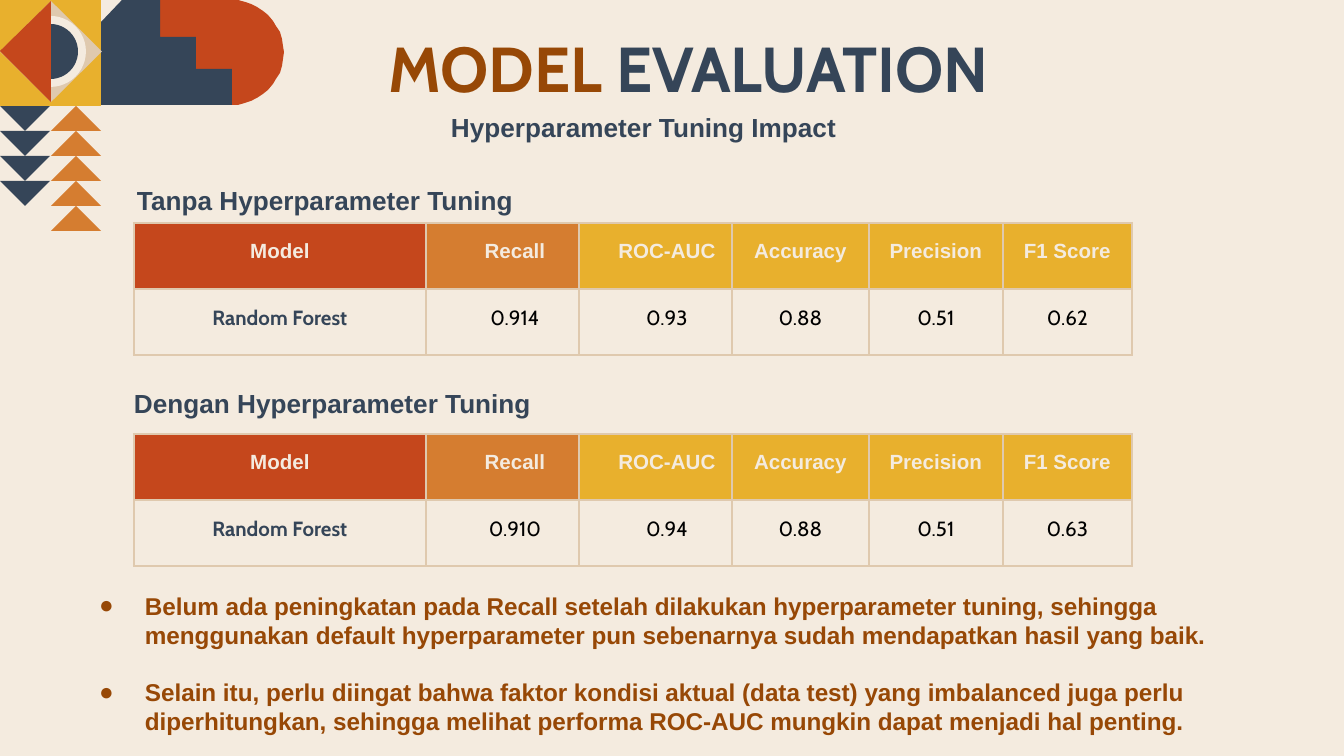
from math import cos, pi, sin

from lxml.etree import SubElement
from pptx import Presentation
from pptx.dml.color import RGBColor
from pptx.enum.shapes import MSO_SHAPE
from pptx.enum.text import PP_ALIGN
from pptx.oxml.ns import qn
from pptx.util import Emu, Pt

SCALE = 914400 / 134.4
CREAM, NAVY, RED = "F4EBDF", "354558", "C5471C"
ORANGE, YELLOW, TAN, BROWN = "D57D30", "E8B02D", "DFC9AE", "974806"


def paint(fill, color):
    fill.solid()
    fill.fore_color.rgb = RGBColor.from_string(color)


def write(paragraph, text, size=14, color=NAVY, font="Arial", bold=True, align=PP_ALIGN.LEFT, left=0, hanging=0):
    paragraph.alignment = align
    properties = paragraph._p.get_or_add_pPr()
    properties.set("marL", str(round(left * SCALE)))
    properties.set("indent", str(round(-hanging * SCALE)))
    run = paragraph.add_run()
    run.text = text
    run.font.name = font
    run.font.size = Pt(size)
    run.font.bold = bold
    paint(run.font.fill, color)


presentation = Presentation()
presentation.slide_width = Emu(round(1344 * SCALE))
presentation.slide_height = Emu(round(756 * SCALE))
slide = presentation.slides.add_slide(presentation.slide_layouts[6])
paint(slide.background.fill, CREAM)

arc = [(231 + 52.5 * sin(pi * step / 24), 52.5 + 52.5 * cos(pi * step / 24)) for step in range(25)]
rounded_bar = [(124, 0), (22, 105)] + arc
stairs = [(122, 0), (22, 105), (232, 105), (232, 69), (196, 69), (196, 37), (160, 37), (160, 0)]
half_diamond = [(51, 1), (0, 51), (51, 102)]

ornaments = [(rounded_bar, RED), (stairs, NAVY)]
for row in range(5):
    ornaments.append((MSO_SHAPE.ISOSCELES_TRIANGLE, ORANGE, 51, 106 + 25 * row, 50, 25))
for row in range(4):
    ornaments.append((MSO_SHAPE.FLOWCHART_MERGE, NAVY, 0, 106 + 25 * row, 50, 25))
ornaments += [
    (MSO_SHAPE.RECTANGLE, YELLOW, 0, 0, 101, 106),
    (MSO_SHAPE.DIAMOND, TAN, 0, 1, 102, 101),
    (MSO_SHAPE.OVAL, CREAM, 15, 16, 71, 71),
    (MSO_SHAPE.OVAL, NAVY, 23, 24, 55, 55),
    (half_diamond, RED),
]
for outline, color, *box in ornaments:
    if box:
        shape = slide.shapes.add_shape(outline, *[Emu(round(length * SCALE)) for length in box])
    else:
        builder = slide.shapes.build_freeform(*outline[0], scale=SCALE)
        builder.add_line_segments(outline[1:], close=True)
        shape = builder.convert_to_shape()
    shape.shadow.inherit = False
    shape.line.fill.background()
    paint(shape.fill, color)

text_boxes = []
for left, top, width, height, inset in [
    (387, 28, 738, 79, 1),
    (450, 99, 409, 44, 12),
    (136, 172, 816, 44, 12),
    (133, 386, 427, 34, 1),
    (78, 590, 1152, 149, 1),
]:
    box = slide.shapes.add_textbox(*[Emu(round(length * SCALE)) for length in (left, top, width, height)])
    frame = box.text_frame
    frame.word_wrap = True
    frame.margin_left = frame.margin_right = frame.margin_bottom = 0
    frame.margin_top = Emu(round(inset * SCALE))
    text_boxes.append(frame)
title, subtitle, without_tuning, with_tuning, findings = text_boxes

write(title.paragraphs[0], "MODEL ", size=34, color=BROWN, font="Cabin", left=1)
write(title.paragraphs[0], "EVALUATION", size=34, font="Cabin", left=1)
write(subtitle.paragraphs[0], "Hyperparameter Tuning Impact", left=1)
write(without_tuning.paragraphs[0], "Tanpa Hyperparameter Tuning", left=1)
write(with_tuning.paragraphs[0], "Dengan Hyperparameter Tuning", left=1)

for index, finding in enumerate([
    "Belum ada peningkatan pada Recall setelah dilakukan hyperparameter tuning, sehingga "
    "menggunakan default hyperparameter pun sebenarnya sudah mendapatkan hasil yang baik.",
    "Selain itu, perlu diingat bahwa faktor kondisi aktual (data test) yang imbalanced juga perlu "
    "diperhitungkan, sehingga melihat performa ROC-AUC mungkin dapat menjadi hal penting.",
]):
    paragraph = findings.add_paragraph() if index else findings.paragraphs[0]
    properties = paragraph._p.get_or_add_pPr()
    bullet_color = SubElement(properties, qn("a:buClr"))
    SubElement(bullet_color, qn("a:srgbClr"), val=BROWN)
    SubElement(properties, qn("a:buFont"), typeface="Arial")
    SubElement(properties, qn("a:buChar"), char="●")
    if index:
        paragraph.space_before = Pt(15)
    write(paragraph, finding, size=13, color=BROWN, left=67, hanging=46)

headers = ["Model", "Recall", "ROC-AUC", "Accuracy", "Precision", "F1 Score"]
header_fills = [RED, ORANGE] + [YELLOW] * 4
column_widths = [292, 153, 153, 137, 134, 129]
column_indents = [0, 25, 23, 0, 0, 0]
row_height = 66

for top, scores in [
    (223, ["0.914", "0.93", "0.88", "0.51", "0.62"]),
    (434, ["0.910", "0.94", "0.88", "0.51", "0.63"]),
]:
    bounds = (134, top, sum(column_widths), 2 * row_height)
    table = slide.shapes.add_table(2, 6, *[Emu(round(length * SCALE)) for length in bounds]).table
    table.horz_banding = False
    for row_index, values in enumerate([headers, ["Random Forest"] + scores]):
        table.rows[row_index].height = Emu(round(row_height * SCALE))
        for column_index, value in enumerate(values):
            table.columns[column_index].width = Emu(round(column_widths[column_index] * SCALE))
            cell = table.cell(row_index, column_index)
            cell.margin_left = cell.margin_right = cell.margin_bottom = 0
            cell.margin_top = Emu(round(17 * SCALE))
            for side in ("L", "R", "T", "B"):
                border = SubElement(cell._tc.get_or_add_tcPr(), qn("a:ln" + side), w=str(Pt(1.5)))
                border_fill = SubElement(border, qn("a:solidFill"))
                SubElement(border_fill, qn("a:srgbClr"), val=TAN)
            is_header = row_index == 0
            paint(cell.fill, header_fills[column_index] if is_header else CREAM)
            write(
                cell.text_frame.paragraphs[0],
                value,
                size=11,
                color=CREAM if is_header else "000000" if column_index else NAVY,
                font="Arial" if is_header else "Cabin",
                bold=is_header or column_index == 0,
                align=PP_ALIGN.CENTER,
                left=column_indents[column_index],
            )

presentation.save("out.pptx")
